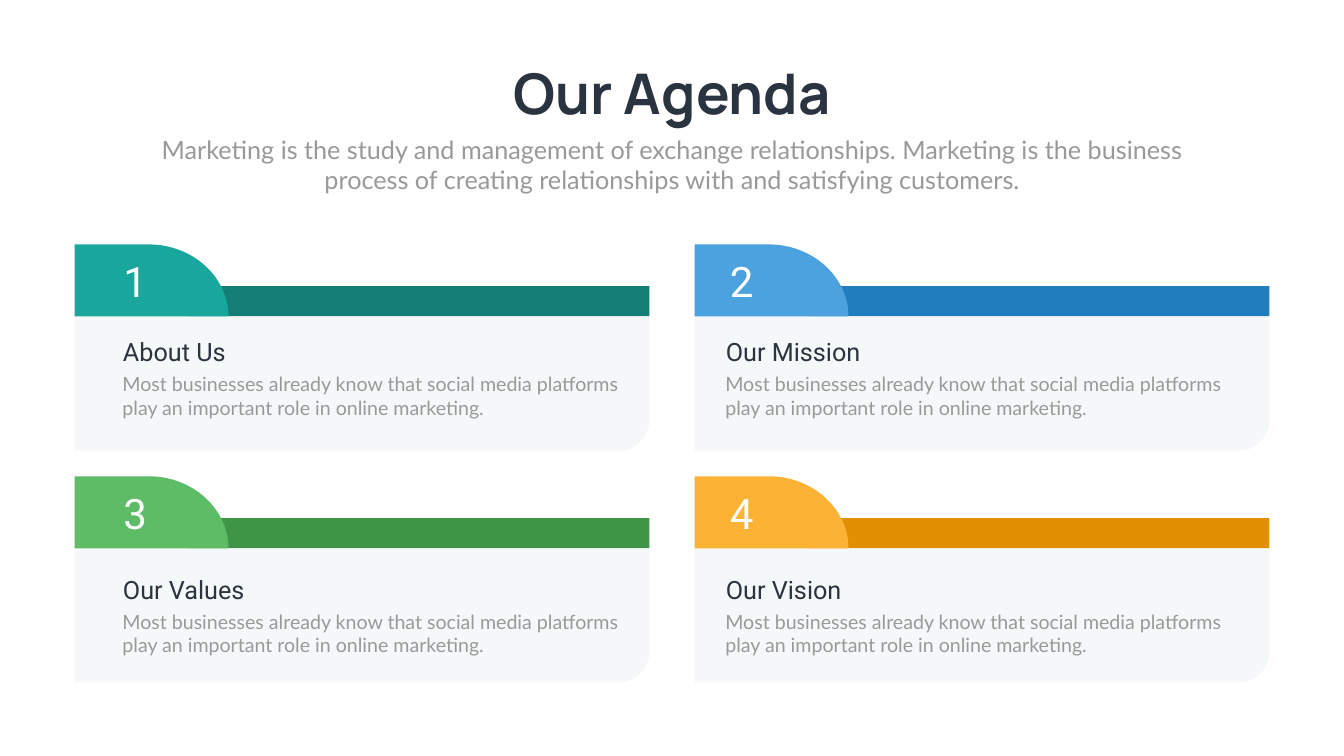
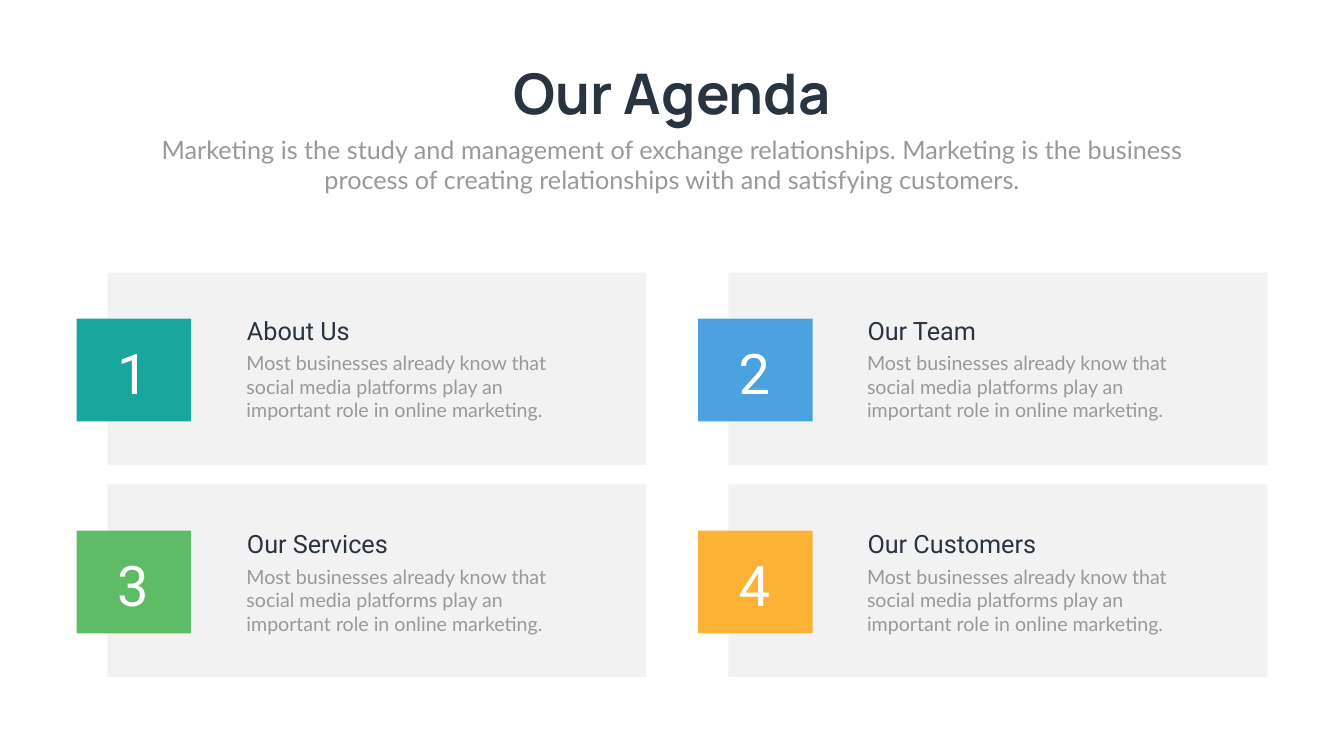
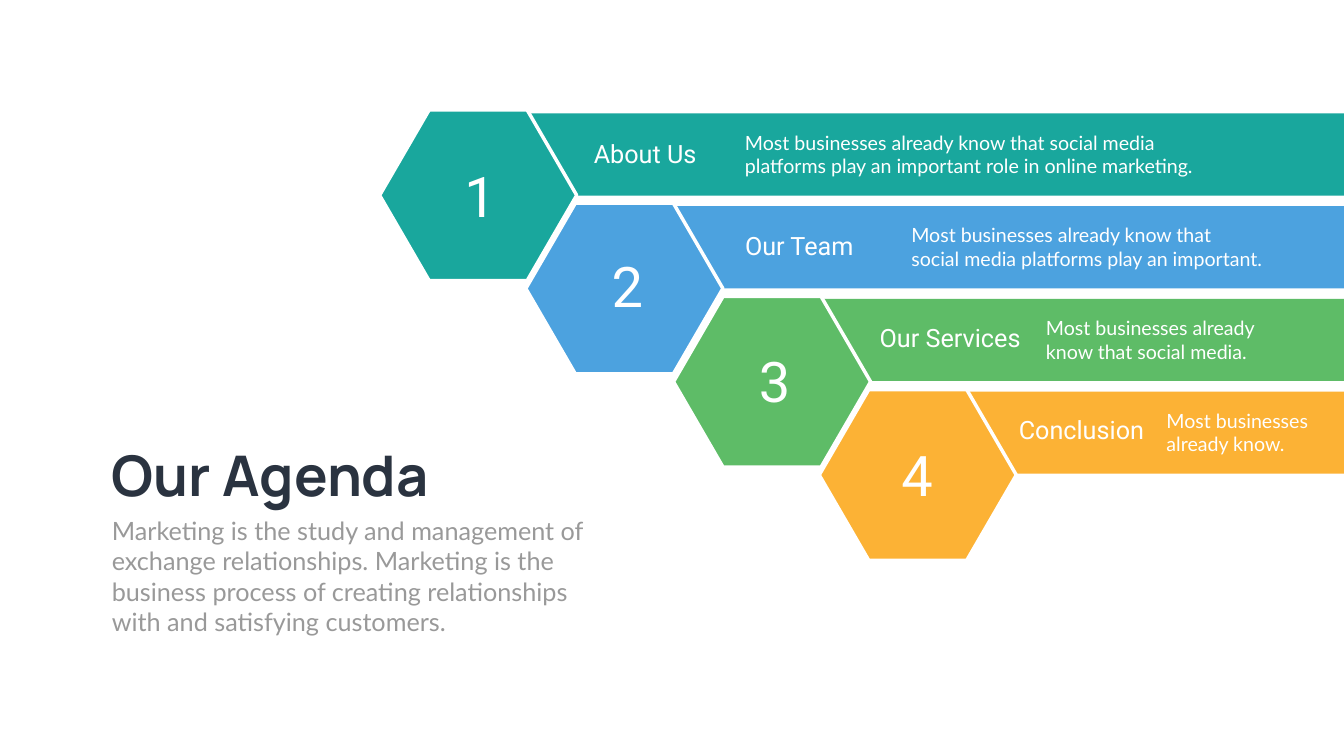
from lxml import etree
from pptx import Presentation
from pptx import util as u
from pptx.dml.color import RGBColor
from pptx.enum import shapes, text
from pptx.oxml.ns import qn

WIDTH, HEIGHT = 26.66, 15
CURVE = 0.55  # share of the radius where a quarter ellipse has its handles
COLORS = {
    "ink": "2A3340", "grey": "999999", "white": "FFFFFF",
    "panel": "F5F8F9", "card": "F2F2F2",
    "teal": "19A79D", "blue": "4CA2DF", "green": "5EBC67", "amber": "FCB235",
    "dark teal": "137D76", "dark blue": "227DBE",
    "dark green": "3E9546", "dark amber": "E18F03",
}
ACCENTS = ["teal", "blue", "green", "amber"]
STYLES = {  # font, size, bold
    "title": ("Manrope", 80, True),
    "intro": ("Lato", 36, False),
    "heading": ("Roboto", 36, False),
    "detail": ("Lato", 28, False),
    "number": ("Roboto", 60, False),
    "big number": ("Roboto", 80, False),
}
LEFT, CENTER = text.PP_ALIGN.LEFT, text.PP_ALIGN.CENTER
INTRO = ("Marketing is the study and management of exchange relationships. "
         "Marketing is the business process of creating relationships with "
         "and satisfying customers.")
DETAIL = ("Most businesses already know that social media platforms play an "
          "important role in online marketing.")


def color(name):
    return RGBColor.from_string(COLORS[name])


def grid_cell(index, origin, step):
    """Left and top of a cell in a grid of two columns, filled row by row."""
    row, column = divmod(index, 2)
    return origin[0] + column * step[0], origin[1] + row * step[1]


def write(frame, words, style, ink, align=LEFT):
    frame.word_wrap = True
    frame.vertical_anchor = text.MSO_ANCHOR.TOP
    frame.text = words
    para = frame.paragraphs[0]
    para.alignment = align
    para.font.name, size, para.font.bold = STYLES[style]
    para.font.size = u.Pt(size)
    para.font.color.rgb = color(ink)


def add_text(page, place, size, words, style, ink, align=LEFT):
    box = page.shapes.add_textbox(*map(u.Inches, (*place, *size)))
    write(box.text_frame, words, style, ink, align)
    box.text_frame.auto_size = text.MSO_AUTO_SIZE.SHAPE_TO_FIT_TEXT


def paint(shape, fill):
    shape.shadow.inherit = False
    shape.fill.solid()
    shape.fill.fore_color.rgb = color(fill)
    shape.line.fill.background()
    return shape


def add_block(page, place, size, fill, kind=shapes.MSO_SHAPE.RECTANGLE):
    return paint(page.shapes.add_shape(kind, *map(u.Inches, (*place, *size))), fill)


def add_rounded_block(page, place, size, radii, fill, at_top):
    """Rectangle with one elliptical corner at its top or bottom right."""
    left, top, width, height, across, down = map(u.Inches, (*place, *size, *radii))
    near, far = (0, height) if at_top else (height, 0)
    turn = near + down if at_top else near - down
    builder = page.shapes.build_freeform(left, top + near)
    corners = [(width - across, near), (width, turn), (width, far), (0, far)]
    builder.add_line_segments([(left + x, top + y) for x, y in corners], close=True)
    block = paint(builder.convert_to_shape(), fill)

    edge = block._element.findall(".//" + qn("a:lnTo"))[1]
    edge.tag = qn("a:cubicBezTo")
    handles = [(width - across + across * CURVE, near),
               (width, turn + (near - turn) * CURVE)]
    for position, (x, y) in enumerate(handles):
        point = etree.Element(qn("a:pt"), x=str(round(x)), y=str(round(y)))
        edge.insert(position, point)


def add_page(deck, title_place, intro_place, intro_size, align):
    page = deck.slides.add_slide(deck.slide_layouts[5])
    title = page.shapes.title
    title.left, title.top = map(u.Inches, title_place)
    title.width, title.height = u.Inches(7.11), u.Inches(1.45)
    write(title.text_frame, "Our Agenda", "title", "ink", align)
    title.text_frame.auto_size = text.MSO_AUTO_SIZE.NONE
    add_text(page, intro_place, intro_size, INTRO, "intro", "grey", align)
    return page


def add_centered_page(deck):
    return add_page(deck, ((WIDTH - 7.11) / 2, 1.12),
                    ((WIDTH - 20.82) / 2, 2.61), (20.82, 1.31), CENTER)


def add_topic(page, place, width, height, heading):
    left, top = place
    add_text(page, (left, top + 0.71), (width, height), DETAIL, "detail", "grey")
    add_text(page, (left + 0.01, top), (3.58, 0.71), heading, "heading", "ink")


def add_folder_slide(deck):
    page = add_centered_page(deck)
    headings = ["About Us", "Our Mission", "Our Values", "Our Vision"]
    for index, (heading, accent) in enumerate(zip(headings, ACCENTS)):
        left, top = grid_cell(index, (1.48, 4.85), (12.3, 4.6))
        add_block(page, (left + 2.28, top + 0.83), (9.12, 0.6), f"dark {accent}")
        add_rounded_block(page, (left, top + 1.43), (11.4, 2.66),
                          (0.6, 0.6), "panel", at_top=False)
        add_rounded_block(page, (left, top), (3.05, 1.43),
                          (1.58, 1.43), accent, at_top=True)
        add_topic(page, grid_cell(index, (2.33, 6.62), (11.96, 4.72)),
                  10.55, 1.04, heading)
        add_text(page, grid_cell(index, (1.87, 5.02), (12.03, 4.61)),
                 (1.62, 1.11), str(index + 1), "number", "white", CENTER)


def add_card_slide(deck):
    page = add_centered_page(deck)
    headings = ["About Us", "Our Team", "Our Services", "Our Customers"]
    for index, (heading, accent) in enumerate(zip(headings, ACCENTS)):
        add_block(page, grid_cell(index, (2.13, 5.41), (12.32, 4.2)),
                  (10.69, 3.82), "card")
        left, top = grid_cell(index, (1.52, 6.32), (12.33, 4.21))
        add_block(page, (left, top), (2.27, 2.04), accent)
        add_text(page, (left + 0.34, top + 0.34), (1.55, 1.45),
                 str(index + 1), "big number", "white", CENTER)
        add_topic(page, grid_cell(index, (4.79, 6.21), (12.31, 4.23)),
                  7.01, 1.51, heading)


def add_staircase_slide(deck):
    page = add_page(deck, (2.12, 8.69), (2.12, 10.18), (9.63, 2.52), LEFT)
    # heading, detail, left of bar, left of heading, left and width of detail
    steps = [
        ("About Us", DETAIL, 10.46, 11.68, 14.68, 9.43),
        ("Our Team", "Most businesses already know that social media "
         "platforms play an important.", 12.37, 14.68, 17.98, 7.16),
        ("Our Services", "Most businesses already know that social media.",
         15.17, 17.35, 20.65, 5.13),
        ("Conclusion", "Most businesses already know.",
         17.84, 20.11, 23.04, 3.32),
    ]
    for index, (heading, detail, bar, heading_left, left, width) in enumerate(steps):
        top = 2.25 + index * 1.84
        add_block(page, (bar, top), (WIDTH - bar, 1.63), ACCENTS[index])
        add_text(page, (left, top + 0.29), (width, 1.04), detail, "detail", "white")
        add_text(page, (heading_left, 2.69 + index * 1.83), (3.58, 0.71),
                 heading, "heading", "white")
    hexagon_lefts = [7.53, 10.43, 13.36, 16.25]
    for index in reversed(range(len(steps))):
        hexagon = add_block(page, (hexagon_lefts[index], 2.18 + index * 1.85),
                            (3.91, 3.39), ACCENTS[index],
                            shapes.MSO_SHAPE.HEXAGON)
        hexagon.adjustments[0] = 0.29
        hexagon.line.color.rgb = color("white")
        hexagon.line.width = u.Pt(5)
    number_places = [(8.69, 3.15), (11.61, 4.94), (14.53, 6.82), (17.36, 8.69)]
    for number, place in enumerate(number_places, start=1):
        add_text(page, place, (1.67, 1.45), str(number),
                 "big number", "white", CENTER)


def main():
    deck = Presentation()
    deck.slide_width, deck.slide_height = u.Inches(WIDTH), u.Inches(HEIGHT)
    add_folder_slide(deck)
    add_card_slide(deck)
    add_staircase_slide(deck)
    deck.save("out.pptx")


if __name__ == "__main__":
    main()
